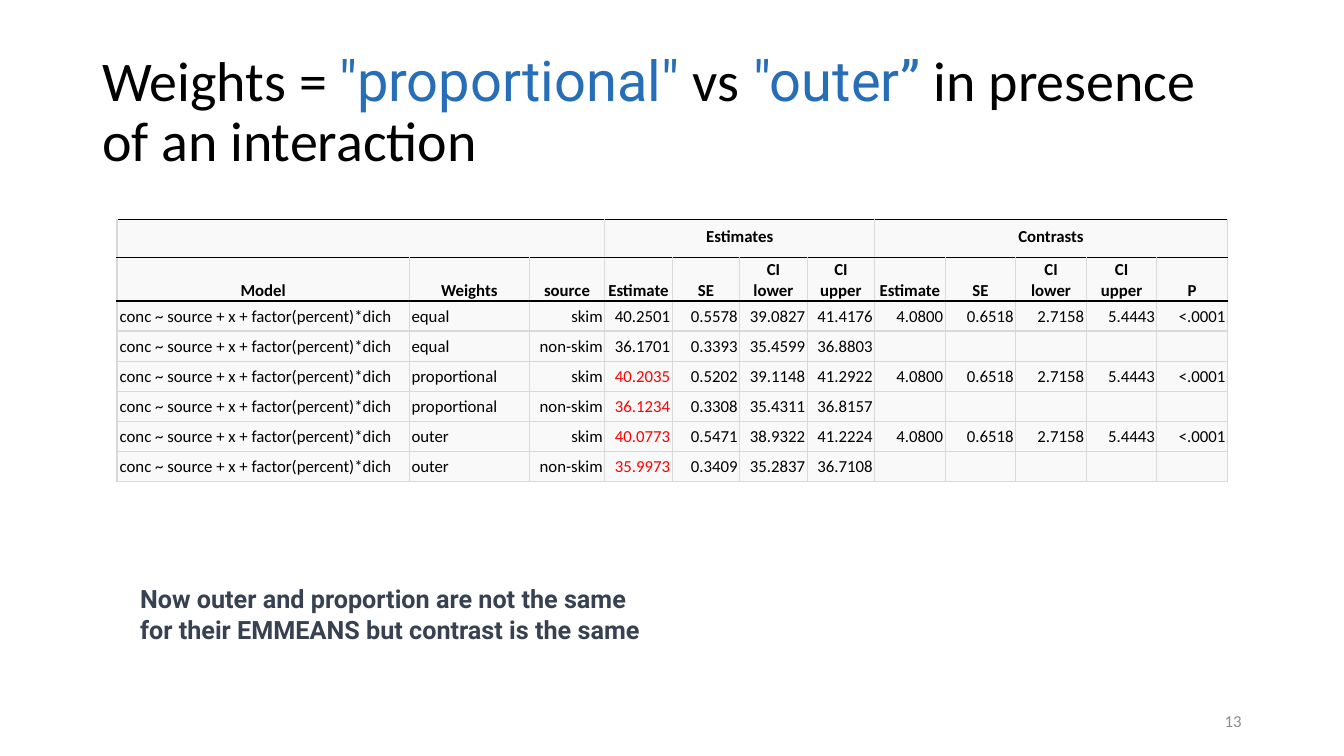
from dataclasses import dataclass, field
from itertools import product

from lxml.etree import SubElement
from pptx import Presentation
from pptx.dml.color import RGBColor
from pptx.enum.text import MSO_ANCHOR, PP_ALIGN
from pptx.oxml.ns import qn
from pptx.slide import Slide
from pptx.table import Table, _Cell
from pptx.text.text import TextFrame
from pptx.util import Pt

BLACK = "000000"
GRID_GREY = "D9D9D9"
CELL_GREY = "F9F9F9"
RED = "FF0000"
BLUE = "276EB8"
SLATE = "374151"
PAGE_GREY = "8C8C8C"


@dataclass
class Run:
    text: str
    size: float = 12
    font: str = "Calibri"
    color: str = BLACK
    bold: bool = False


@dataclass
class TextBox:
    left: float
    top: float
    width: float
    height: float
    runs: list[Run]
    frame_format: dict = field(default_factory=dict)
    paragraph_format: dict = field(default_factory=dict)


@dataclass
class CellStyle:
    cell_format: dict
    paragraph_format: dict
    bold: bool = False


def margins(side: float, top: float, bottom: float) -> dict:
    return {"margin_left": Pt(side), "margin_right": Pt(side),
            "margin_top": Pt(top), "margin_bottom": Pt(bottom)}


GROUP = CellStyle(margins(10, 5, 5), {"alignment": PP_ALIGN.CENTER}, True)
HEADING = CellStyle({**margins(2, 0.7, 0), "vertical_anchor": MSO_ANCHOR.BOTTOM},
                    {"alignment": PP_ALIGN.CENTER}, True)
MODEL = CellStyle({**margins(2, 0.7, 0), "vertical_anchor": MSO_ANCHOR.MIDDLE},
                  {"alignment": PP_ALIGN.LEFT})
BODY_FORMAT = {**margins(1.5, 0, 0), "vertical_anchor": MSO_ANCHOR.MIDDLE}
WEIGHTS = CellStyle(BODY_FORMAT, {"alignment": PP_ALIGN.LEFT, "line_spacing": 1.07})
NUMBER = CellStyle(BODY_FORMAT, {"alignment": PP_ALIGN.RIGHT, "line_spacing": 1.07})

COLUMN_WIDTHS = [209, 85.5, 54] + [48.2] * 4 + [50.4] * 5
ROW_HEIGHTS = [27, 31] + [21.5] * 6
GROUPS = [(0, 2, ""), (3, 6, "Estimates"), (7, 11, "Contrasts")]
STATISTICS = ["Estimate", "SE", "CI\nlower", "CI\nupper"]
HEADINGS = ["Model", "Weights", "source", *STATISTICS, *STATISTICS, "P"]
FORMULA = "conc ~ source + x + factor(percent)*dich"
CONTRAST = ["4.0800", "0.6518", "2.7158", "5.4443", "<.0001"]
ESTIMATES = [
    ("equal", "skim", "40.2501", "0.5578", "39.0827", "41.4176"),
    ("equal", "non-skim", "36.1701", "0.3393", "35.4599", "36.8803"),
    ("proportional", "skim", "40.2035", "0.5202", "39.1148", "41.2922"),
    ("proportional", "non-skim", "36.1234", "0.3308", "35.4311", "36.8157"),
    ("outer", "skim", "40.0773", "0.5471", "38.9322", "41.2224"),
    ("outer", "non-skim", "35.9973", "0.3409", "35.2837", "36.7108"),
]

TEXT_BOXES = [
    TextBox(66, 28.8, 828, 104.4, [
        Run("Weights = ", 40),
        Run('"proportional" ', 40, "Roboto", BLUE),
        Run("vs", 40),
        Run(' "outer” ', 40, "Roboto", BLUE),
        Run("in presence of an interaction", 40),
    ], {"vertical_anchor": MSO_ANCHOR.MIDDLE}, {"line_spacing": 0.9}),
    TextBox(93, 413.3, 379, 51, [
        Run("Now outer and proportion are not the same for their EMMEANS "
            "but contrast is the same", 18, "Roboto", SLATE, True),
    ]),
    TextBox(678, 500.5, 216, 28.8, [Run("13", color=PAGE_GREY)],
            {"vertical_anchor": MSO_ANCHOR.MIDDLE}, {"alignment": PP_ALIGN.RIGHT}),
]


def rgb(value: str) -> RGBColor:
    return RGBColor.from_string(value)


def apply_format(target: object, values: dict) -> None:
    for name, value in values.items():
        setattr(target, name, value)


def write_lines(frame: TextFrame, lines: list[list[Run]], paragraph_format: dict) -> None:
    for index, line in enumerate(lines):
        paragraph = frame.paragraphs[0] if index == 0 else frame.add_paragraph()
        apply_format(paragraph, paragraph_format)
        for item in line:
            run = paragraph.add_run()
            run.text = item.text
            apply_format(run.font, {"size": Pt(item.size), "name": item.font, "bold": item.bold})
            run.font.color.rgb = rgb(item.color)


def add_text_box(slide: Slide, box: TextBox) -> None:
    shape = slide.shapes.add_textbox(Pt(box.left), Pt(box.top), Pt(box.width), Pt(box.height))
    apply_format(shape.text_frame, {"word_wrap": True, **box.frame_format})
    write_lines(shape.text_frame, [box.runs], box.paragraph_format)


def set_borders(cell: _Cell, top: str, bottom: str) -> None:
    properties = cell._tc.get_or_add_tcPr()
    borders = {"a:lnL": GRID_GREY, "a:lnR": GRID_GREY, "a:lnT": top, "a:lnB": bottom}
    for tag, color in borders.items():
        line = SubElement(properties, qn(tag), w=str(Pt(1)))
        SubElement(SubElement(line, qn("a:solidFill")), qn("a:srgbClr"), val=color)


def fill_cell(cell: _Cell, text: str, style: CellStyle, color: str = BLACK) -> None:
    apply_format(cell, style.cell_format)
    if text:
        lines = [[Run(line, color=color, bold=style.bold)] for line in text.split("\n")]
        write_lines(cell.text_frame, lines, style.paragraph_format)
    else:
        SubElement(cell.text_frame.paragraphs[0]._p, qn("a:endParaRPr"), sz="1200")


def style_grid(table: Table) -> None:
    for row, column in product(range(len(ROW_HEIGHTS)), range(len(COLUMN_WIDTHS))):
        cell = table.cell(row, column)
        set_borders(cell, BLACK if row <= 2 else GRID_GREY, BLACK if row <= 1 else GRID_GREY)
        cell.fill.solid()
        cell.fill.fore_color.rgb = rgb(CELL_GREY)


def add_results_table(slide: Slide) -> None:
    frame = slide.shapes.add_table(len(ROW_HEIGHTS), len(COLUMN_WIDTHS), Pt(83.5), Pt(157),
                                   Pt(sum(COLUMN_WIDTHS)), Pt(sum(ROW_HEIGHTS)))
    table = frame.table
    apply_format(table, {"first_row": False, "horz_banding": False})
    for column, width in zip(table.columns, COLUMN_WIDTHS):
        column.width = Pt(width)
    for row, height in zip(table.rows, ROW_HEIGHTS):
        row.height = Pt(height)
    style_grid(table)

    for first, last, label in GROUPS:
        table.cell(0, first).merge(table.cell(0, last))
        fill_cell(table.cell(0, first), label, GROUP)
    for column, heading in enumerate(HEADINGS):
        fill_cell(table.cell(1, column), heading, HEADING)

    styles = [MODEL, WEIGHTS] + [NUMBER] * (len(COLUMN_WIDTHS) - 2)
    for row, estimate in enumerate(ESTIMATES, start=2):
        weights, source = estimate[:2]
        contrast = CONTRAST if source == "skim" else [""] * len(CONTRAST)
        for column, text in enumerate([FORMULA, *estimate, *contrast]):
            highlighted = column == 3 and weights != "equal"
            fill_cell(table.cell(row, column), text, styles[column],
                      RED if highlighted else BLACK)


def main() -> None:
    presentation = Presentation()
    apply_format(presentation, {"slide_width": Pt(960), "slide_height": Pt(540)})
    slide = presentation.slides.add_slide(presentation.slide_layouts[6])
    add_results_table(slide)
    for box in TEXT_BOXES:
        add_text_box(slide, box)
    presentation.save("out.pptx")


if __name__ == "__main__":
    main()
